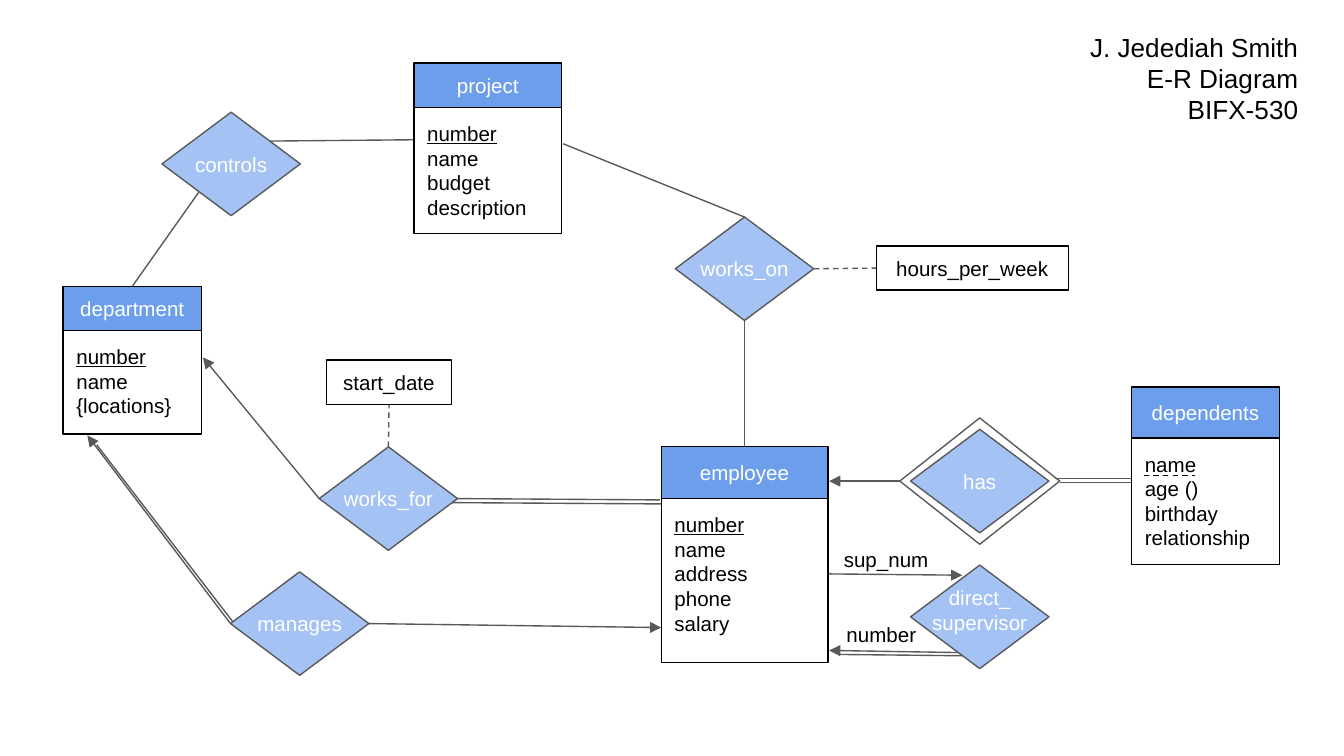
from lxml import etree
from pptx import Presentation
from pptx.dml.color import RGBColor
from pptx.enum import dml, shapes, text
from pptx.oxml import ns
from pptx.util import Inches, Pt

BLACK = RGBColor(0x00, 0x00, 0x00)
WHITE = RGBColor(0xFF, 0xFF, 0xFF)
GRAY = RGBColor(0x59, 0x59, 0x59)
BLUE = RGBColor(0x6D, 0x9E, 0xEB)
PALE_BLUE = RGBColor(0xA4, 0xC2, 0xF4)
FONT = "Arial"
BODY_SIZE, HEADING_SIZE = 11, 14
INSET = 0.1
DIAMOND_W, DIAMOND_H = 1.03, 0.77
TOP, LEFT, BOTTOM, RIGHT = range(4)

HEADING = ["J. Jedediah Smith", "E-R Diagram", "BIFX-530"]

ENTITIES = {
    "department": (0.47, 2.13, 1.03, 0.33, 0.77, True, ["number", "name", "{locations}"]),
    "employee": (4.92, 3.32, 1.24, 0.39, 1.22, True,
                 ["number", "name", "address", "phone", "salary"]),
    "project": (3.08, 0.47, 1.1, 0.33, 0.94, True,
                ["number", "name", "budget", "description"]),
    "dependents": (8.42, 2.88, 1.1, 0.38, 0.94, False,
                   ["name", "age ()", "birthday", "relationship"]),
}
RELATIONSHIPS = {
    "controls": (1.72, 1.22, ["controls"]),
    "works_on": (5.54, 2.0, ["works_on"]),
    "works_for": (2.89, 3.71, ["works_for"]),
    "manages": (2.23, 4.64, ["manages"]),
    "has": (7.29, 3.58, ["has"]),
    "direct_supervisor": (7.29, 4.59, ["direct_", "supervisor"]),
}
ATTRIBUTES = {
    "start_date": (2.43, 2.68, 0.93, 0.33),
    "hours_per_week": (6.52, 1.83, 1.43, 0.33),
}
ROLES = [("sup_num", 6.18, 3.97, 1.07, 0.39), ("number", 6.2, 4.53, 0.93, 0.39)]

LINKS = [
    ((7.39, 4.86), (6.17, 4.84), "arrow"),
    ((6.24, 4.87), (7.23, 4.88), "plain"),
    ((6.1, 4.27), (7.16, 4.28), "arrow"),
    (("has_frame", LEFT), (6.17, 3.58), "arrow"),
    ((7.85, 3.56), (8.44, 3.56), "plain"),
    ((7.89, 3.59), (8.49, 3.59), "plain"),
    ((1.97, 1.05), (3.1, 1.04), "plain"),
    (("department", TOP), (1.5, 1.4), "plain"),
    (("works_for", RIGHT), (4.91, 3.72), "plain"),
    ((3.34, 3.74), (5, 3.75), "plain"),
    ((1.75, 4.65), (0.72, 3.31), "plain"),
    (("works_for", LEFT), (1.51, 2.66), "arrow"),
    (("manages", LEFT), (0.65, 3.24), "arrow"),
    (("manages", RIGHT), (4.92, 4.67), "arrow"),
    (("works_for", TOP), ("start_date", BOTTOM), "dash"),
    (("employee", TOP), ("works_on", BOTTOM), "plain"),
    (("works_on", TOP), (4.19, 1.07), "plain"),
    (("works_on", RIGHT), ("hours_per_week", LEFT), "dash"),
]
PARTIAL_KEY = ((8.51, 3.54), (8.89, 3.54), "dash")

deck = Presentation()
deck.slide_width = Inches(10)
deck.slide_height = deck.slide_width * 9 // 16
slide = deck.slides.add_slide(deck.slide_layouts[5])
nodes = {}


def write(frame, lines, color, align, anchor, size=BODY_SIZE, inset=(INSET,) * 4,
          wrap=True, key=False):
    frame.auto_size = text.MSO_AUTO_SIZE.NONE
    frame.word_wrap = wrap
    frame.vertical_anchor = anchor
    (frame.margin_left, frame.margin_top,
     frame.margin_right, frame.margin_bottom) = map(Inches, inset)
    for row, line in enumerate(lines):
        paragraph = frame.paragraphs[0] if row == 0 else frame.add_paragraph()
        paragraph.alignment = align
        run = paragraph.add_run()
        run.text = line
        run.font.name, run.font.size = FONT, Pt(size)
        run.font.color.rgb = color
        if key and row == 0:
            run.font.underline = True


def add_node(kind, box, fill, outline):
    node = slide.shapes.add_shape(kind, *map(Inches, box))
    node.shadow.inherit = False
    if fill is None:
        node.fill.background()
    else:
        node.fill.solid()
        node.fill.fore_color.rgb = fill
    node.line.color.rgb = outline
    node.line.width = Pt(0.75)
    return node


def add_box(box, fill, lines, color, align=text.PP_ALIGN.CENTER,
            anchor=text.MSO_ANCHOR.MIDDLE, key=False):
    node = add_node(shapes.MSO_SHAPE.RECTANGLE, box, fill, BLACK)
    write(node.text_frame, lines, color, align, anchor, key=key)
    return node


def add_diamond(x, y, width, height, fill):
    box = (x - width / 2, y - height / 2, width, height)
    return add_node(shapes.MSO_SHAPE.DIAMOND, box, fill, GRAY)


def is_glued(end):
    return isinstance(end[0], str)


def add_link(start, end, style, color=GRAY):
    points = [(0, 0) if is_glued(p) else p for p in (start, end)]
    link = slide.shapes.add_connector(
        shapes.MSO_CONNECTOR.STRAIGHT, *[Inches(v) for p in points for v in p])
    link.line.color.rgb = color
    link.line.width = Pt(0.75)
    if style == "dash":
        link.line.dash_style = dml.MSO_LINE.DASH
    if style == "arrow":
        etree.SubElement(link.line._get_or_add_ln(), ns.qn("a:tailEnd"), type="triangle")
    etree.SubElement(link._element.spPr, ns.qn("a:effectLst"))
    return link


heading = slide.shapes.title
heading.left, heading.top, heading.width, heading.height = map(Inches, (7.99, 0.18, 1.77, 0.81))
write(heading.text_frame, HEADING, BLACK, text.PP_ALIGN.RIGHT, text.MSO_ANCHOR.TOP,
      HEADING_SIZE, (0.1, 0.05, 0.1, 0.05), wrap=False)

links = [add_link(*link) for link in LINKS]

for name, (x, y, width, header_h, body_h, key, fields) in ENTITIES.items():
    nodes[name] = add_box((x, y, width, header_h), BLUE, [name], WHITE)
    add_box((x, y + header_h, width, body_h), WHITE, fields, BLACK,
            text.PP_ALIGN.LEFT, text.MSO_ANCHOR.TOP, key)

for name, (x, y, lines) in RELATIONSHIPS.items():
    nodes[name] = add_diamond(x, y, DIAMOND_W, DIAMOND_H, PALE_BLUE)
    lift = INSET * (len(lines) - 1)
    write(nodes[name].text_frame, lines, WHITE, text.PP_ALIGN.CENTER,
          text.MSO_ANCHOR.MIDDLE, inset=(0, 0, 0, lift), wrap=False)

has_x, has_y, _ = RELATIONSHIPS["has"]
nodes["has_frame"] = add_diamond(has_x, has_y, 1.19, 0.94, None)

for name, box in ATTRIBUTES.items():
    nodes[name] = add_box(box, WHITE, [name], BLACK)

for role, *box in ROLES:
    label = slide.shapes.add_textbox(*map(Inches, box))
    write(label.text_frame, [role], BLACK, text.PP_ALIGN.LEFT, text.MSO_ANCHOR.TOP)

for link, (start, end, _) in zip(links, LINKS):
    if is_glued(start):
        link.begin_connect(nodes[start[0]], start[1])
    if is_glued(end):
        link.end_connect(nodes[end[0]], end[1])

add_link(*PARTIAL_KEY, color=BLACK)

deck.save("out.pptx")
